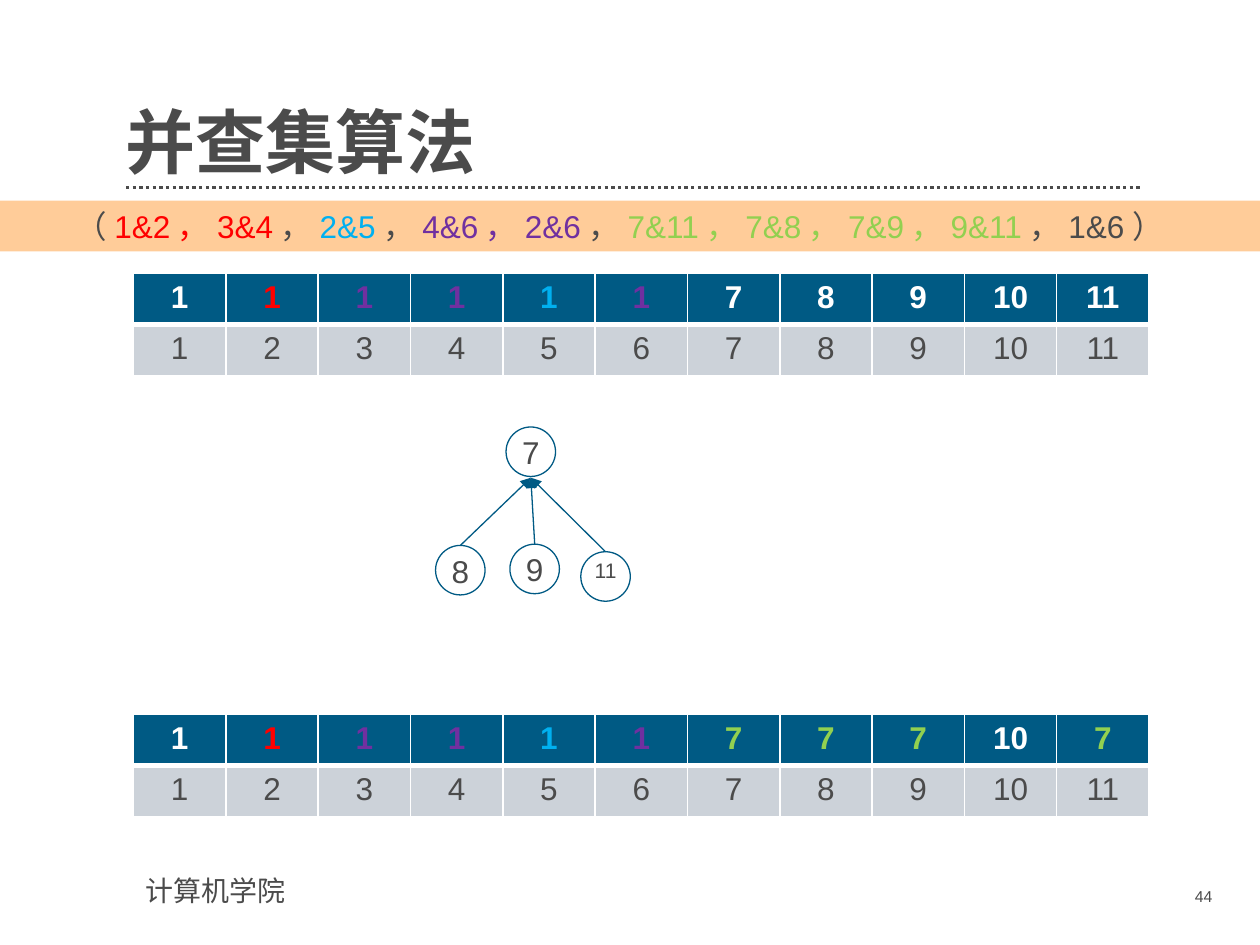
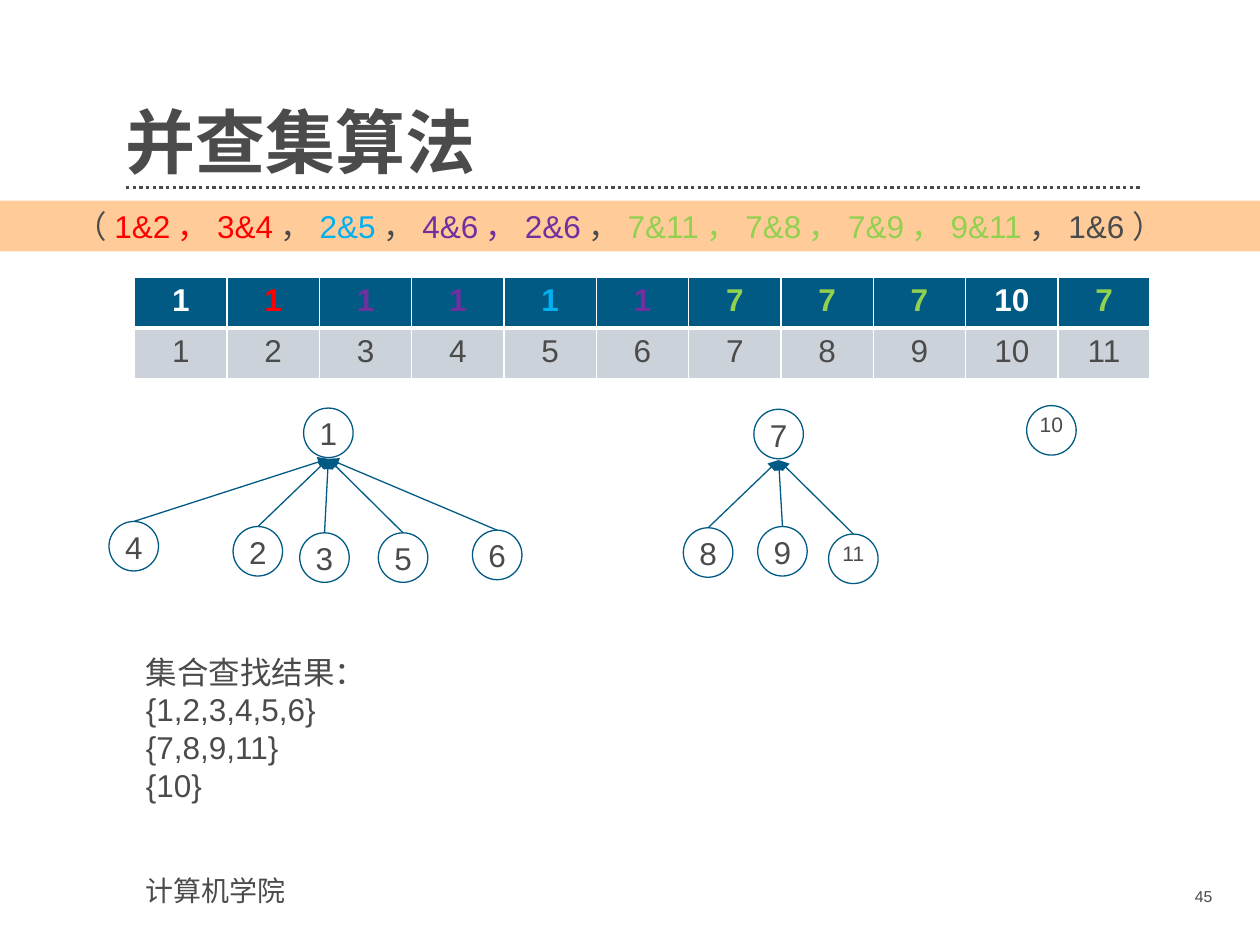
from lxml import etree
from pptx import Presentation
from pptx.dml.color import RGBColor
from pptx.enum.dml import MSO_LINE
from pptx.enum.shapes import MSO_CONNECTOR, MSO_SHAPE
from pptx.enum.text import MSO_ANCHOR, PP_ALIGN
from pptx.oxml.ns import qn
from pptx.util import Pt

# Enum members
STRAIGHT = MSO_CONNECTOR.STRAIGHT
RECTANGLE, OVAL = MSO_SHAPE.RECTANGLE, MSO_SHAPE.OVAL
LEFT, CENTER, RIGHT = PP_ALIGN.LEFT, PP_ALIGN.CENTER, PP_ALIGN.RIGHT
TOP, BOTTOM = MSO_ANCHOR.TOP, MSO_ANCHOR.BOTTOM
DOTTED = MSO_LINE.ROUND_DOT

# Colours
WHITE = RGBColor(0xFF, 0xFF, 0xFF)
TEXT = RGBColor(0x4B, 0x4B, 0x4B)
NAVY = RGBColor(0x00, 0x5A, 0x84)
PALE = RGBColor(0xCC, 0xD2, 0xD9)
PEACH = RGBColor(0xFF, 0xCC, 0x99)
RED = RGBColor(0xFF, 0x00, 0x00)
BLUE = RGBColor(0x00, 0xB0, 0xF0)
PURPLE = RGBColor(0x70, 0x30, 0xA0)
GREEN = RGBColor(0x92, 0xD0, 0x50)

# Fonts and sizes
LATIN, CJK = "Arial", "Noto Sans CJK SC"
SLIDE_WIDTH, SLIDE_HEIGHT = 720, 540
NODE = 28.3
TABLE_LEFT, TABLE_WIDTH, ROW_HEIGHT = 76.3, 580.3, 29.2

# Union operations, coloured by the set they build
UNIONS = [("（", TEXT), ("1&2，3&4", RED), ("，", TEXT), ("2&5", BLUE),
          ("，", TEXT), ("4&6，2&6", PURPLE), ("，", TEXT),
          ("7&11，7&8，7&9，9&11", GREEN), ("，1&6）", TEXT)]

# Parent of each element 1..11, before and after the green unions
FIRST_SET = [(1, WHITE), (1, RED), (1, PURPLE), (1, PURPLE), (1, BLUE), (1, PURPLE)]
PARENTS_BEFORE = FIRST_SET + [(number, WHITE) for number in range(7, 12)]
PARENTS_AFTER = FIRST_SET + [(7, GREEN)] * 3 + [(10, WHITE), (7, GREEN)]

# Children of each root, with their offsets from it
CHILDREN = {
    1: [(2, -40.3, 67.7), (5, 42.7, 71.3), (4, -111.2, 64.8),
        (3, -2.2, 71.3), (6, 96.5, 69.8)],
    7: [(8, -40.3, 67.7), (11, 42.7, 71.3), (9, 2.2, 67)],
    10: [],
}


def style_run(run, size, color, bold=False, font=LATIN):
    run.font.size = Pt(size)
    run.font.bold = bold
    run.font.name = font
    run.font.color.rgb = color
    east_asian = etree.Element(qn("a:ea"), typeface=CJK)
    run.font._element.find(qn("a:latin")).addnext(east_asian)


def add_text(slide, text, box, size, align=LEFT, bold=False, font=LATIN):
    """Add a text box; each line of the text becomes a paragraph."""
    shape = slide.shapes.add_textbox(*map(Pt, box))
    frame = shape.text_frame
    frame.word_wrap = True
    frame.text = text
    for paragraph in frame.paragraphs:
        paragraph.alignment = align
        for run in paragraph.runs:
            style_run(run, size, TEXT, bold, font)
    return frame


def add_line(slide, start, end, color, width):
    line = slide.shapes.add_connector(STRAIGHT, *map(Pt, (*start, *end)))
    line.line.color.rgb = color
    line.line.width = Pt(width)
    etree.SubElement(line._element.spPr, qn("a:effectLst"))
    return line


def add_arrow(slide, start, end):
    arrow = add_line(slide, start, end, NAVY, 0.75)
    etree.SubElement(arrow.line._get_or_add_ln(), qn("a:tailEnd"), type="triangle")


def add_band(slide):
    band = slide.shapes.add_shape(RECTANGLE, 0, Pt(114.6), Pt(SLIDE_WIDTH), Pt(29))
    band.shadow.inherit = False
    band.fill.solid()
    band.fill.fore_color.rgb = PEACH
    band.line.fill.background()
    frame = band.text_frame
    frame.vertical_anchor = TOP
    paragraph = frame.paragraphs[0]
    paragraph.alignment = LEFT
    paragraph.level = 1
    paragraph._p.get_or_add_pPr().set("marL", str(Pt(36)))
    for text, color in UNIONS:
        run = paragraph.add_run()
        run.text = text
        style_run(run, 18, color)


def add_frame(slide, number):
    """Add the title, rule, band and footer that every slide has."""
    rule = add_line(slide, (72, 107.3), (652.3, 107.3), TEXT, 1.9)
    rule.line.dash_style = DOTTED
    add_text(slide, "计算机学院", (76.3, 495.4, 212.4, 26.6), 16)
    title = add_text(slide, "并查集算法", (72, 39.6, 580.3, 65.5), 40,
                     bold=True, font=CJK)
    title.margin_left = title.margin_right = title.margin_top = title.margin_bottom = 0
    title.vertical_anchor = BOTTOM
    title.paragraphs[0].line_spacing = 0.9
    add_text(slide, str(number), (628.6, 503.3, 71.3, 20.9), 9, RIGHT)
    add_band(slide)


def set_borders(cell, top, bottom):
    properties = cell._tc.get_or_add_tcPr()
    widths = {"a:lnL": 1, "a:lnR": 1, "a:lnT": top, "a:lnB": bottom}
    for index, (tag, width) in enumerate(widths.items()):
        border = etree.Element(qn(tag), w=str(Pt(width)))
        fill = etree.SubElement(border, qn("a:solidFill"))
        etree.SubElement(fill, qn("a:srgbClr"), val=str(WHITE))
        properties.insert(index, border)


def fill_cell(cell, value, color, fill, bold, top, bottom):
    cell.fill.solid()
    cell.fill.fore_color.rgb = fill
    cell.text_frame.text = str(value)
    paragraph = cell.text_frame.paragraphs[0]
    paragraph.alignment = CENTER
    style_run(paragraph.runs[0], 18, color, bold)
    set_borders(cell, top, bottom)


def add_parent_table(slide, parents, left, top):
    """Parents in the header row, the elements themselves below."""
    table = slide.shapes.add_table(2, len(parents), Pt(left), Pt(top),
                                   Pt(TABLE_WIDTH), Pt(2 * ROW_HEIGHT)).table
    table.horz_banding = False
    for column in table.columns:
        column.width = Pt(TABLE_WIDTH / len(parents))
    for index, (parent, color) in enumerate(parents):
        fill_cell(table.cell(0, index), parent, color, NAVY, True, 1, 3)
        fill_cell(table.cell(1, index), index + 1, TEXT, PALE, False, 3, 1)


def add_node(slide, number, left, top):
    circle = slide.shapes.add_shape(OVAL, *map(Pt, (left, top, NODE, NODE)))
    circle.shadow.inherit = False
    circle.fill.background()
    circle.line.color.rgb = NAVY
    circle.line.width = Pt(0.75)
    size, height = (18, 29) if number < 10 else (12, 21.8)
    add_text(slide, str(number), (left, top, NODE, height), size, CENTER)


def add_tree(slide, root, left, top):
    add_node(slide, root, left, top)
    middle = left + NODE / 2
    for child, right, down in CHILDREN[root]:
        add_node(slide, child, left + right, top + down)
        add_arrow(slide, (middle + right, top + down), (middle, top + NODE + 0.7))


def add_union_slide(presentation):
    slide = presentation.slides.add_slide(presentation.slide_layouts[6])
    add_frame(slide, 44)
    add_parent_table(slide, PARENTS_BEFORE, TABLE_LEFT, 156.3)
    add_tree(slide, 7, 289.2, 244)
    add_parent_table(slide, PARENTS_AFTER, TABLE_LEFT, 408.3)


def add_result_slide(presentation):
    slide = presentation.slides.add_slide(presentation.slide_layouts[6])
    add_frame(slide, 45)
    add_parent_table(slide, PARENTS_AFTER, TABLE_LEFT + 0.7, 158.3)
    add_tree(slide, 1, 173.5, 233.2)
    add_tree(slide, 7, 430.8, 233.9)
    add_tree(slide, 10, 586.7, 231.8)
    add_text(slide, "集合查找结果：\n{1,2,3,4,5,6}\n{7,8,9,11}\n{10}",
             (76.3, 369.4, 207.4, 94.3), 18)


def main():
    presentation = Presentation()
    presentation.slide_width = Pt(SLIDE_WIDTH)
    presentation.slide_height = Pt(SLIDE_HEIGHT)
    add_union_slide(presentation)
    add_result_slide(presentation)
    presentation.save("out.pptx")


if __name__ == "__main__":
    main()
